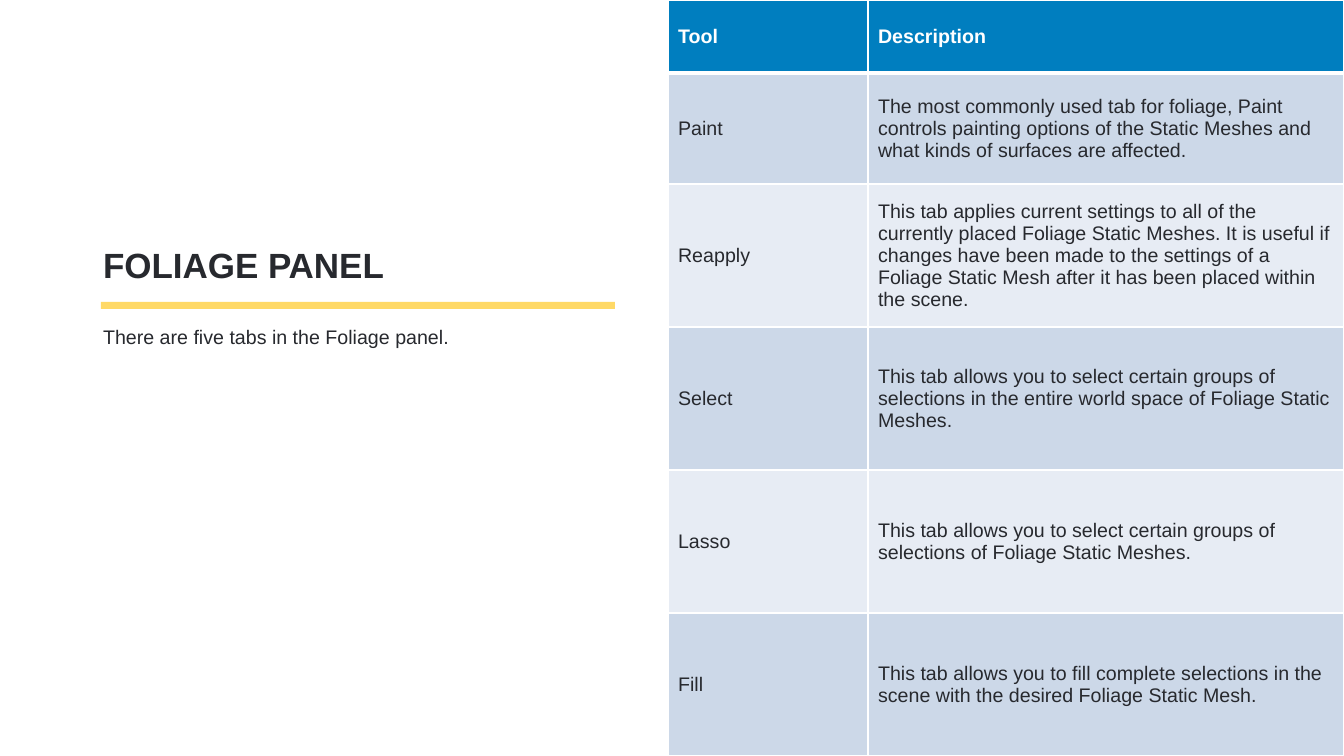
"""Build the Foliage panel slide: title, rule, note and table of tabs."""
import pptx
import pptx.util
import pptx.dml.color
import pptx.enum.shapes
import pptx.enum.text
import pptx.oxml
import pptx.oxml.ns

PX = 914400 / 100.8
HUES = {"ink": "27292E", "white": "FFFFFF", "gold": "FFD966",
        "head": "007EBF", "dark": "CCD8E8", "light": "E7ECF4"}
ANCHOR = pptx.enum.text.MSO_ANCHOR


def box(*sizes):
    return [pptx.util.Emu(round(size * PX)) for size in sizes]


def write(frame, words, size=14, hue="ink", bold=False, anchor=ANCHOR.TOP, lines=1.0):
    frame.word_wrap = True
    frame.vertical_anchor = anchor
    para = frame.paragraphs[0]
    para.alignment = pptx.enum.text.PP_ALIGN.LEFT
    para.line_spacing = lines
    para.space_before = pptx.util.Pt(0)
    run = para.add_run()
    run.text = words
    run.font.name = "Arial"
    run.font.size = pptx.util.Pt(size)
    run.font.bold = bold
    run.font.color.rgb = pptx.dml.color.RGBColor.from_string(HUES[hue])
    return para


deck = pptx.Presentation()
deck.slide_width, deck.slide_height = box(1344, 756)
slide = deck.slides.add_slide(deck.slide_layouts[1])
title, body = slide.placeholders

rule = slide.shapes.add_shape(
    pptx.enum.shapes.MSO_SHAPE.RECTANGLE, *box(101, 302, 514, 7))
rule.shadow.inherit = False
rule.fill.solid()
rule.fill.fore_color.rgb = pptx.dml.color.RGBColor.from_string(HUES["gold"])
rule.line.fill.background()

for holder, spot in ((title, (93, 50, 514, 241)), (body, (93, 320, 514, 436))):
    holder.left, holder.top, holder.width, holder.height = box(*spot)
    holder.text_frame.auto_size = pptx.enum.text.MSO_AUTO_SIZE.NONE

write(title.text_frame, "FOLIAGE PANEL", size=25, bold=True,
      anchor=ANCHOR.BOTTOM, lines=0.9)
note = write(body.text_frame, "There are five tabs in the Foliage panel.")
props = note._p.get_or_add_pPr()
props.set("marL", "0")
props.set("indent", "0")
props.append(pptx.oxml.parse_xml(
    f'<a:buNone {pptx.oxml.ns.nsdecls("a")}/>'))

TABS = [
    ("Tool", "Description"),
    ("Paint", "The most commonly used tab for foliage, Paint controls painting "
              "options of the Static Meshes and what kinds of surfaces are affected."),
    ("Reapply", "This tab applies current settings to all of the currently placed "
                "Foliage Static Meshes. It is useful if changes have been made to the "
                "settings of a Foliage Static Mesh after it has been placed within "
                "the scene."),
    ("Select", "This tab allows you to select certain groups of selections in the "
               "entire world space of Foliage Static Meshes."),
    ("Lasso", "This tab allows you to select certain groups of selections of "
              "Foliage Static Meshes."),
    ("Fill", "This tab allows you to fill complete selections in the scene with "
             "the desired Foliage Static Mesh."),
]
table = slide.shapes.add_table(len(TABS), 2, *box(668, 0, 676, 756)).table
for column, width in zip(table.columns, box(200, 476)):
    column.width = width
for row, height in zip(table.rows, box(73, 111, 143, 143, 143, 143)):
    row.height = height

for y, tab in enumerate(TABS):
    head = y == 0
    fill = "head" if head else "dark" if y % 2 else "light"
    for x, words in enumerate(tab):
        cell = table.cell(y, x)
        write(cell.text_frame, words, hue="white" if head else "ink", bold=head)
        cell.vertical_anchor = ANCHOR.MIDDLE
        edges = cell._tc.get_or_add_tcPr()
        for side in "LRTB":
            thick = (y, side) in ((0, "B"), (1, "T"))
            edges.append(pptx.oxml.parse_xml(
                f'<a:ln{side} {pptx.oxml.ns.nsdecls("a")} w="{38100 if thick else 12700}">'
                f'<a:solidFill><a:srgbClr val="{HUES["white"]}"/></a:solidFill>'
                f'</a:ln{side}>'))
        cell.fill.solid()
        cell.fill.fore_color.rgb = pptx.dml.color.RGBColor.from_string(HUES[fill])

deck.save("out.pptx")
